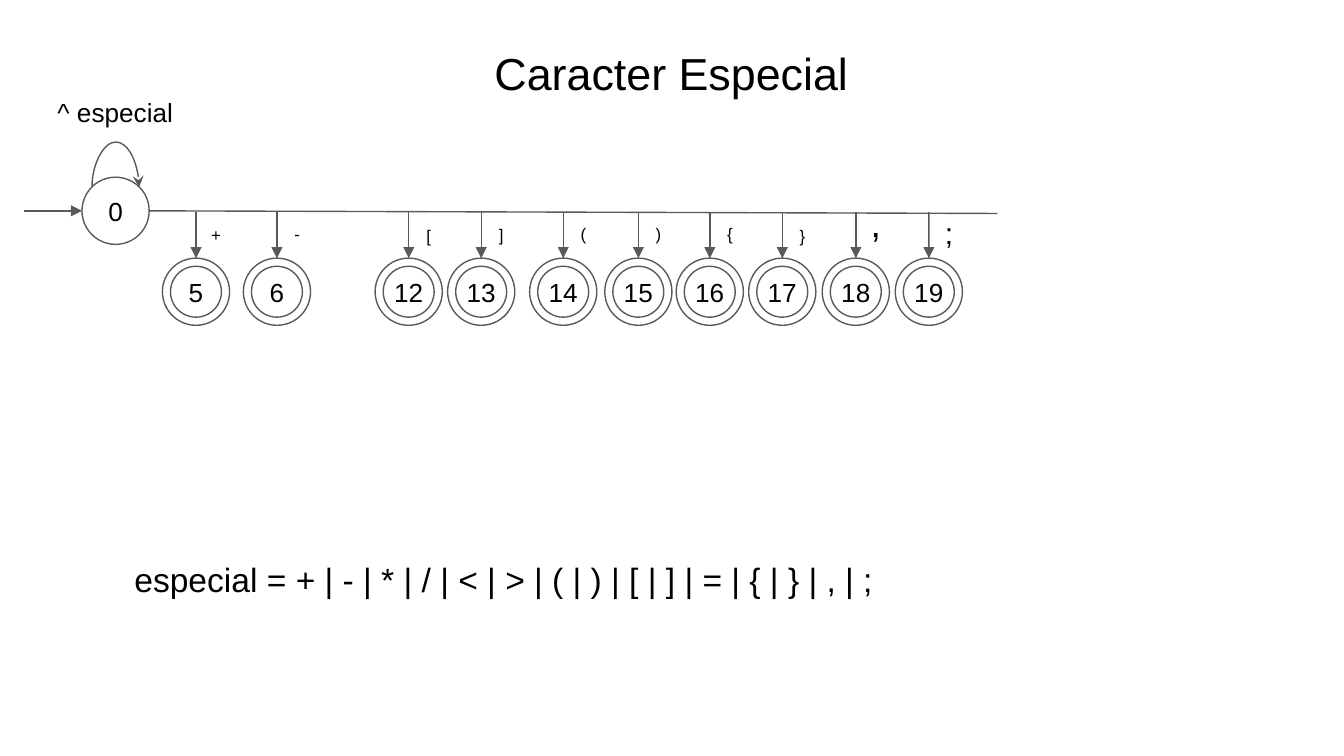
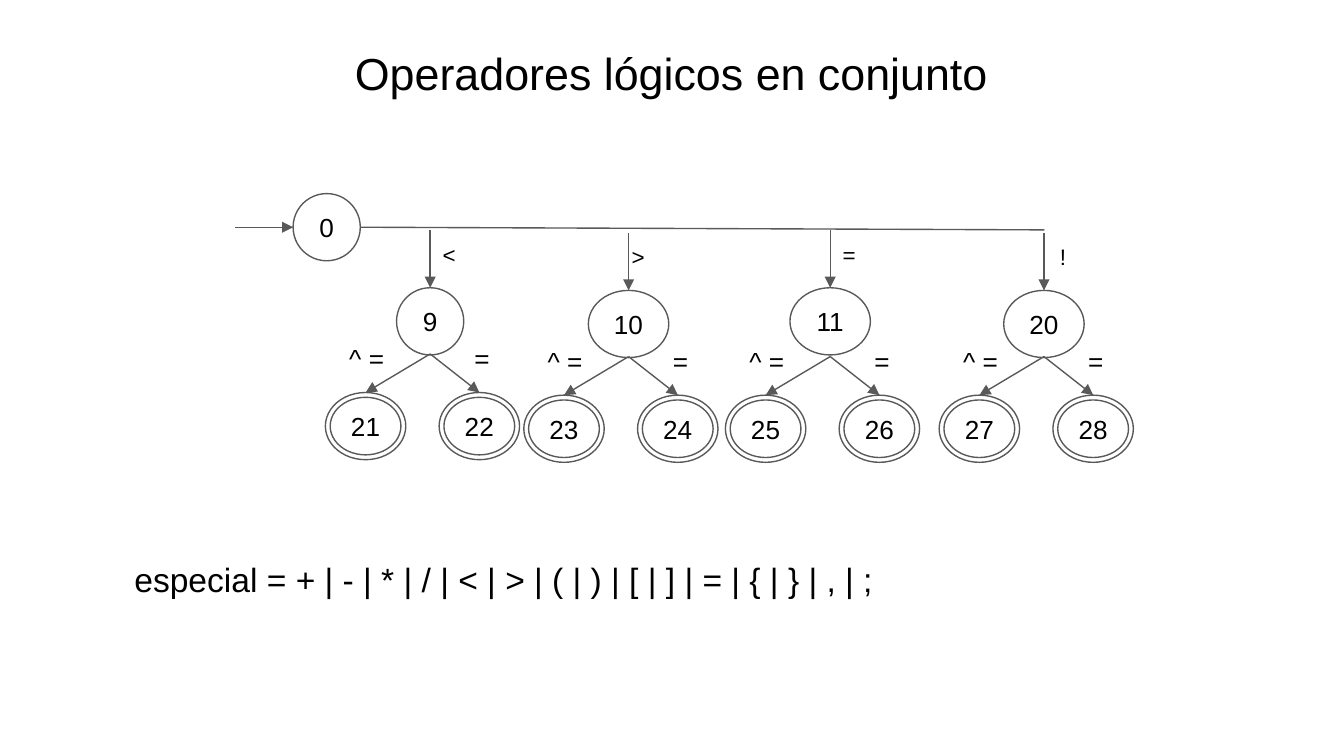
from typing import NamedTuple

from lxml.etree import SubElement
from pptx import Presentation
from pptx.dml.color import RGBColor
from pptx.enum.shapes import MSO_CONNECTOR as LINK, MSO_SHAPE as FORM
from pptx.enum.text import MSO_ANCHOR as ANCHOR, MSO_AUTO_SIZE as FIT, PP_ALIGN as ALIGN
from pptx.oxml.ns import qn
from pptx.util import Cm, Pt

FONT = "Arial"
INK = "000000"
STROKE = "595959"
PAD = 0.25
STATE = 1.27
WIDE_STATE = 1.52
TITLE_ONLY = 5
ALPHABET = "especial = + | - | * | / | < | > | ( | ) | [ | ] | = | { | } | , | ;"

RING_ROW = [
    (0, "5", "+", 9, -0.02), (1.53, "6", "-", 9, -0.04),
    (4.02, "12", "[", 9, 0), (5.39, "13", "]", 9, -0.02),
    (6.94, "14", "(", 9, -0.04), (8.36, "15", ")", 9, -0.04),
    (9.71, "16", "{", 9, -0.04), (11.08, "17", "}", 9, 0),
    (12.47, "18", ",", 20, -0.48), (13.85, "19", ";", 16, -0.2),
]
OPERATORS = [
    (1.98, "9", "<", -0.3, STATE, 1.09, 2.34),
    (5.73, "10", ">", -0.48, WIDE_STATE, 1.14, 2.39),
    (9.54, "11", "=", -0.3, WIDE_STATE, 1.09, 2.39),
    (13.58, "20", "!", -0.3, WIDE_STATE, 1.14, 2.39),
]
FIRST_PAIR = 21


class Box(NamedTuple):
    """A region in centimetres."""
    left: float
    top: float
    width: float
    height: float

    def lengths(self):
        """Return the region as slide lengths."""
        return [Cm(side) for side in self]


TITLE = Box(6.35, 0.61, 12.67, 1.55)
FORMULA = Box(2.29, 10.31, 14.55, 1.27)


def color(hex_code):
    """Turn a hex string into a colour."""
    return RGBColor.from_string(hex_code)


def write(frame, text, size, align=ALIGN.CENTER, pad=PAD, anchor=ANCHOR.TOP, wrap=True):
    """Fill a text frame with one formatted paragraph."""
    frame.auto_size = FIT.NONE
    frame.word_wrap = wrap
    frame.vertical_anchor = anchor
    frame.margin_left = frame.margin_right = Cm(pad)
    frame.margin_top = frame.margin_bottom = Cm(pad)
    paragraph = frame.paragraphs[0]
    paragraph.text = text
    paragraph.alignment = align
    paragraph.font.name = FONT
    paragraph.font.size = Pt(size)
    paragraph.font.color.rgb = color(INK)


def add_label(slide, text, left, top, width, size, align=ALIGN.CENTER):
    """Add a text box as tall as its one line."""
    label = slide.shapes.add_textbox(
        Cm(left), Cm(top), Cm(width), Cm(2 * PAD) + Pt(1.22 * size))
    write(label.text_frame, text, size, align)


def add_state(slide, number, left, top, width=STATE, ring=None):
    """Add a numbered state, double-ringed when it accepts."""
    form = FORM.DONUT if ring else FORM.OVAL
    state = slide.shapes.add_shape(form, *Box(left, top, width, STATE).lengths())
    if ring:
        state.adjustments[0] = ring
    state.shadow.inherit = False
    state.fill.background()
    state.line.color.rgb = color(STROKE)
    state.line.width = Pt(0.75)
    write(state.text_frame, number, 14, pad=0, anchor=ANCHOR.MIDDLE, wrap=False)
    return state


def add_line(slide, x1, y1, x2, y2, head=None, kind=LINK.STRAIGHT):
    """Add a thin grey connector with an optional arrowhead."""
    line = slide.shapes.add_connector(kind, Cm(x1), Cm(y1), Cm(x2), Cm(y2))
    line.line.color.rgb = color(STROKE)
    line.line.width = Pt(0.75)
    properties = line.element.spPr
    if head:
        SubElement(properties.find(qn("a:ln")), qn("a:tailEnd"), type=head)
    SubElement(properties, qn("a:effectLst"))
    return line


def add_arrow_to(slide, x, y, state):
    """Add an arrow from a point to the top of a state."""
    add_line(slide, x, y, x, y + 1, "triangle").end_connect(state, 0)


def add_start(slide, box):
    """Place the entry arrow, state 0 and the rail that ends at the box's right."""
    left, top, width, height = box
    middle = top + height / 2
    entry = 1.09
    state_left = left + entry
    add_state(slide, "0", state_left, top)
    add_line(slide, left, middle, state_left, middle, "triangle")
    add_line(slide, state_left + STATE, middle, left + width, middle + 0.05)


def add_self_loop(slide, box, text):
    """Place a labelled arch whose ends stand on the bottom of the box."""
    left, top, width, height = box
    span, thin, rise = 0.89, 0.01, 0.84
    center, foot = left + width / 2, top + height
    loop = add_line(slide, center, foot - span / 2, center + thin, foot + span / 2,
                    "stealth", LINK.CURVE)
    transform = loop.element.spPr.find(qn("a:xfrm"))
    transform.set("rot", "16200000")
    transform.set("flipH", "1")
    geometry = loop.element.spPr.find(qn("a:prstGeom"))
    guides = geometry.find(qn("a:avLst"))
    if guides is None:
        guides = SubElement(geometry, qn("a:avLst"))
    bend = round(-rise / thin * 100000)
    SubElement(guides, qn("a:gd"), name="adj1", fmla=f"val {bend}")
    add_label(slide, text, left, top, width, 14)


def add_ring_row(slide, box):
    """Hang one accepting state per special character along the box."""
    for offset, number, symbol, size, lift in RING_ROW:
        left = box.left + offset
        center = left + STATE / 2
        ring = add_state(slide, number, left, box.top + box.height - STATE, ring=0.121)
        add_arrow_to(slide, center, box.top, ring)
        add_label(slide, symbol, center, box.top + lift, 0.76, size)


def add_operator_tree(slide, box):
    """Hang the operator states in the box, each forking into two accepting ones."""
    for index, row in enumerate(OPERATORS):
        offset, number, symbol, shift, width, state_top, fork_top = row
        center, top, fork = box.left + offset, box.top + state_top, box.top + fork_top
        operator = add_state(slide, number, center - width / 2, top, width)
        add_arrow_to(slide, center, top - 1.09, operator)
        add_label(slide, symbol, center + shift, top - 1.14, 1.32, 12)
        branches = [("^ =", -1.98, -1.86), ("=", 0.17, 0.32)]
        for side, (condition, state_shift, label_shift) in enumerate(branches):
            result = add_state(slide, str(FIRST_PAIR + 2 * index + side),
                               center + state_shift, fork + 0.73, WIDE_STATE, ring=0.072)
            add_arrow_to(slide, center, fork, result)
            add_label(slide, condition, center + label_shift, fork - 0.46, 1.32, 14)


def add_automaton_slide(deck, heading):
    """Add a slide with its title and the alphabet formula."""
    slide = deck.slides.add_slide(deck.slide_layouts[TITLE_ONLY])
    title = slide.shapes.title
    title.left, title.top, title.width, title.height = TITLE.lengths()
    write(title.text_frame, heading, 24)
    add_label(slide, ALPHABET, FORMULA.left, FORMULA.top, FORMULA.width, 18, ALIGN.LEFT)
    return slide


def main():
    """Build the two automaton slides."""
    deck = Presentation()
    deck.slide_width, deck.slide_height = Cm(25.4), Cm(14.29)

    special = add_automaton_slide(deck, "Caracter Especial")
    add_start(special, Box(0.46, 3.35, 18.39, STATE))
    add_self_loop(special, Box(0.2, 1.57, 3.96, 1.96), "^ especial")
    add_ring_row(special, Box(3.07, 4.01, 15.12, 2.14))

    logical = add_automaton_slide(deck, "Operadores lógicos en conjunto")
    add_start(logical, Box(4.45, 3.66, 15.29, STATE))
    add_operator_tree(logical, Box(6.15, 4.35, 15.26, 4.39))

    deck.save("out.pptx")


if __name__ == "__main__":
    main()
